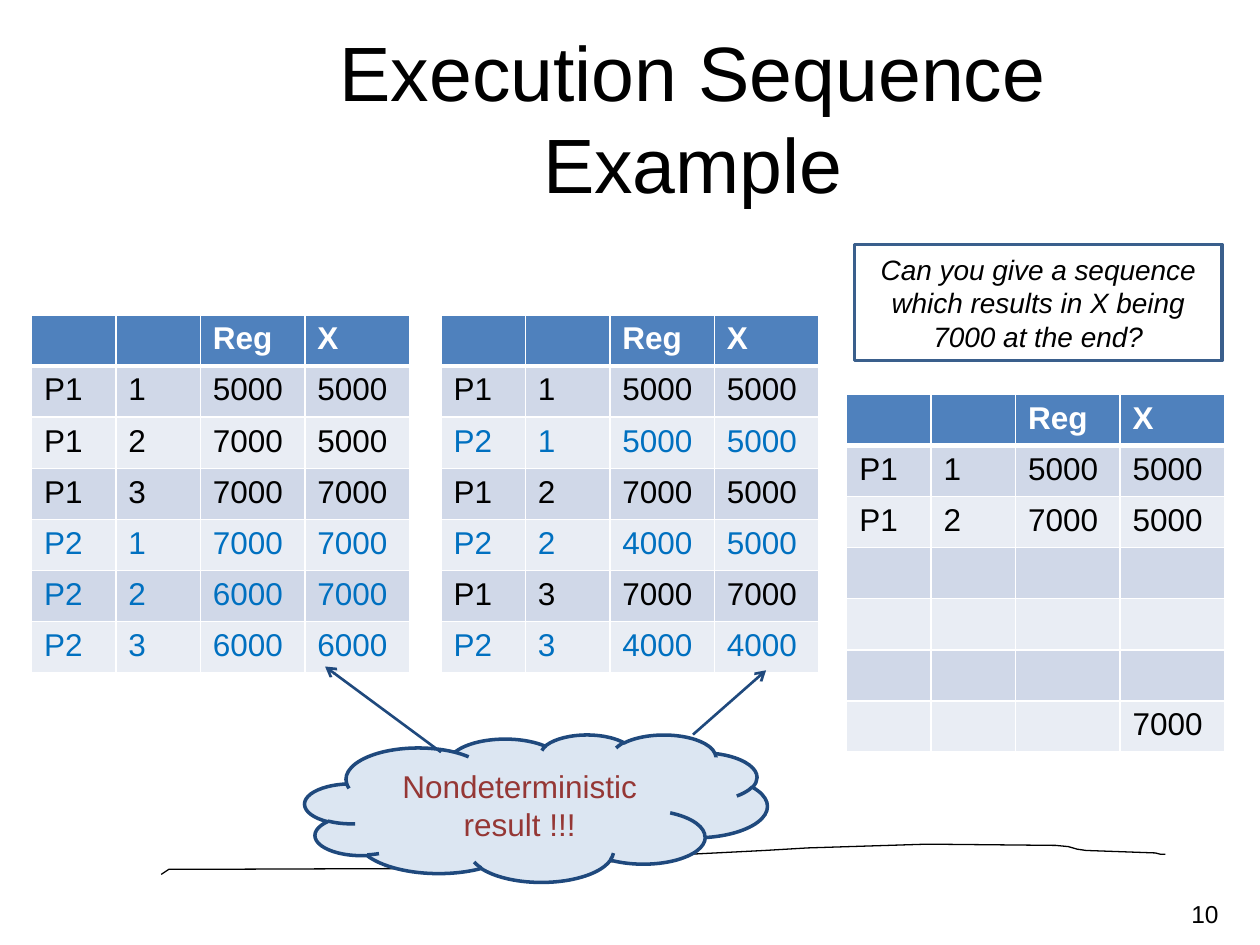
import pptx
import pptx.util
import pptx.dml.color
import pptx.enum.shapes
import pptx.enum.text
import pptx.oxml
import pptx.oxml.ns
import lxml.etree

Inches = pptx.util.Inches
Pt = pptx.util.Pt
Shape = pptx.enum.shapes.MSO_SHAPE
Align = pptx.enum.text.PP_ALIGN
Anchor = pptx.enum.text.MSO_ANCHOR

COLORS = {
    "black": "000000", "white": "FFFFFF", "head": "4F81BD",
    "odd": "D0D8E8", "even": "E9EDF4", "blue": "0070C0",
    "navy": "1F497D", "sky": "DCE6F2", "red": "953735", "edge": "3A5F8C",
}
HEAD = ["", "", "Reg ", "X"]
WIDTHS = [0.67, 0.67, 0.83, 0.83]
FIRST = ["P1 1 5000 5000", "P1 2 7000 5000", "P1 3 7000 7000",
         "P2 1 7000 7000", "P2 2 6000 7000", "P2 3 6000 6000"]
SECOND = ["P1 1 5000 5000", "P2 1 5000 5000", "P1 2 7000 5000",
          "P2 2 4000 5000", "P1 3 7000 7000", "P2 3 4000 4000"]
THIRD = ["P1 1 5000 5000", "P1 2 7000 5000", "   ", "   ", "   ", "   7000"]
TRAIL = [(0, 0.24), (0.06, 0.2), (0.1, 0.2), (0.21, 0.2), (3.05, 0.19),
         (3.2, 0.16), (3.57, 0.14), (3.71, 0.13), (4.01, 0.09), (4.2, 0.08),
         (4.79, 0.05), (5.13, 0.03), (6.08, 0), (7.1, 0.01), (7.2, 0.02),
         (7.27, 0.04), (7.34, 0.05), (7.89, 0.07), (7.93, 0.08), (7.97, 0.08)]


def color(name):
    """Return a named colour."""
    return pptx.dml.color.RGBColor.from_string(COLORS[name])


def write(frame, text, size, tint="black", align=Align.LEFT, bold=False, italic=False):
    """Fill a text frame with one styled paragraph."""
    frame.text = text
    para = frame.paragraphs[0]
    para.alignment = align
    for run in para.runs:
        font = run.font
        font.name, font.size = "Arial", Pt(size)
        font.bold, font.italic = bold, italic
        font.color.rgb = color(tint)


def stroke(shape, tint, width):
    """Set the outline of a shape."""
    shape.line.color.rgb = color(tint)
    shape.line.width = Pt(width)


def add_label(slide, box, text, size, align, wrap=True):
    """Place a plain text box."""
    label = slide.shapes.add_textbox(*map(Inches, box))
    frame = label.text_frame
    frame.word_wrap = wrap
    frame.vertical_anchor = Anchor.MIDDLE
    write(frame, text, size, align=align)


def add_panel(slide, box, kind, text, size, tint, edge, fill=None, italic=False):
    """Place an outlined shape with centred text."""
    panel = slide.shapes.add_shape(kind, *map(Inches, box))
    panel.shadow.inherit = False
    if fill:
        panel.fill.solid()
        panel.fill.fore_color.rgb = color(fill)
    else:
        panel.fill.background()
    stroke(panel, edge, 2)
    frame = panel.text_frame
    frame.word_wrap = True
    frame.vertical_anchor = Anchor.MIDDLE
    write(frame, text, size, tint, Align.CENTER, italic=italic)


def add_trail(slide, left, top):
    """Draw the thin wavy line along the foot of the slide."""
    points = [(Inches(left + x), Inches(top + y)) for x, y in TRAIL]
    pen = slide.shapes.build_freeform(*points[0])
    pen.add_line_segments(points[1:], close=False)
    trail = pen.convert_to_shape()
    trail.shadow.inherit = False
    trail.fill.background()
    stroke(trail, "black", 0.75)


def add_arrow(slide, start, end):
    """Draw a line with an open head at its end."""
    kind = pptx.enum.shapes.MSO_CONNECTOR.STRAIGHT
    arrow = slide.shapes.add_connector(kind, *map(Inches, start + end))
    stroke(arrow, "navy", 1.5)
    qn = pptx.oxml.ns.qn
    tip = lxml.etree.SubElement(arrow.line._get_or_add_ln(), qn("a:tailEnd"))
    tip.set("type", "arrow")
    lxml.etree.SubElement(arrow._element.spPr, qn("a:effectLst"))


def add_edges(cell, base):
    """Give a cell white borders with the stated bottom width."""
    space = pptx.oxml.ns.nsdecls("a")
    props = cell._tc.get_or_add_tcPr()
    for side, width in zip("LRTB", (1, 1, 1, base)):
        props.append(pptx.oxml.parse_xml(
            f'<a:ln{side} {space} w="{Pt(width)}"><a:solidFill>'
            f'<a:srgbClr val="{COLORS["white"]}"/></a:solidFill></a:ln{side}>'))


def add_steps(slide, left, top, steps):
    """Place one table of execution steps."""
    rows = [HEAD] + [step.split(" ") for step in steps]
    high = 2.84
    grid = slide.shapes.add_table(len(rows), len(HEAD), Inches(left), Inches(top),
                                  Inches(sum(WIDTHS)), Inches(high)).table
    for col, width in zip(grid.columns, WIDTHS):
        col.width = Inches(width)
    for i, row in enumerate(rows):
        grid.rows[i].height = Inches(high / len(rows))
        fill = "head" if i == 0 else "odd" if i % 2 else "even"
        tint = "white" if i == 0 else "blue" if row[0] == "P2" else "black"
        for j, text in enumerate(row):
            cell = grid.cell(i, j)
            add_edges(cell, 1 if i else 3)
            cell.fill.solid()
            cell.fill.fore_color.rgb = color(fill)
            write(cell.text_frame, text, 18, tint, bold=i == 0)


def build():
    """Build and save the slide."""
    deck = pptx.Presentation()
    deck.slide_width, deck.slide_height = Inches(10), Inches(7.5)
    slide = deck.slides.add_slide(deck.slide_layouts[6])
    add_trail(slide, 1.28, 6.7)
    add_label(slide, (9.25, 7.08, 0.52, 0.34), "10", 14, Align.RIGHT)
    add_label(slide, (1.5, 0.3, 8, 1.25), "Execution Sequence Example", 44, Align.CENTER)
    for left, top, steps in ((0.25, 2.5, FIRST), (3.5, 2.5, SECOND), (6.72, 3.13, THIRD)):
        add_steps(slide, left, top, steps)
    add_panel(slide, (2.42, 5.83, 3.67, 1.17), Shape.CLOUD,
              "Nondeterministic result !!!", 18, "red", "navy", fill="sky")
    add_arrow(slide, (3.5, 5.97), (2.58, 5.29))
    add_arrow(slide, (5.5, 5.83), (6.08, 5.32))
    add_panel(slide, (6.78, 1.94, 2.92, 0.92), Shape.RECTANGLE,
              "Can you give a sequence which results in X being 7000 at the end?",
              16, "black", "edge", italic=True)
    deck.save("out.pptx")


build()
